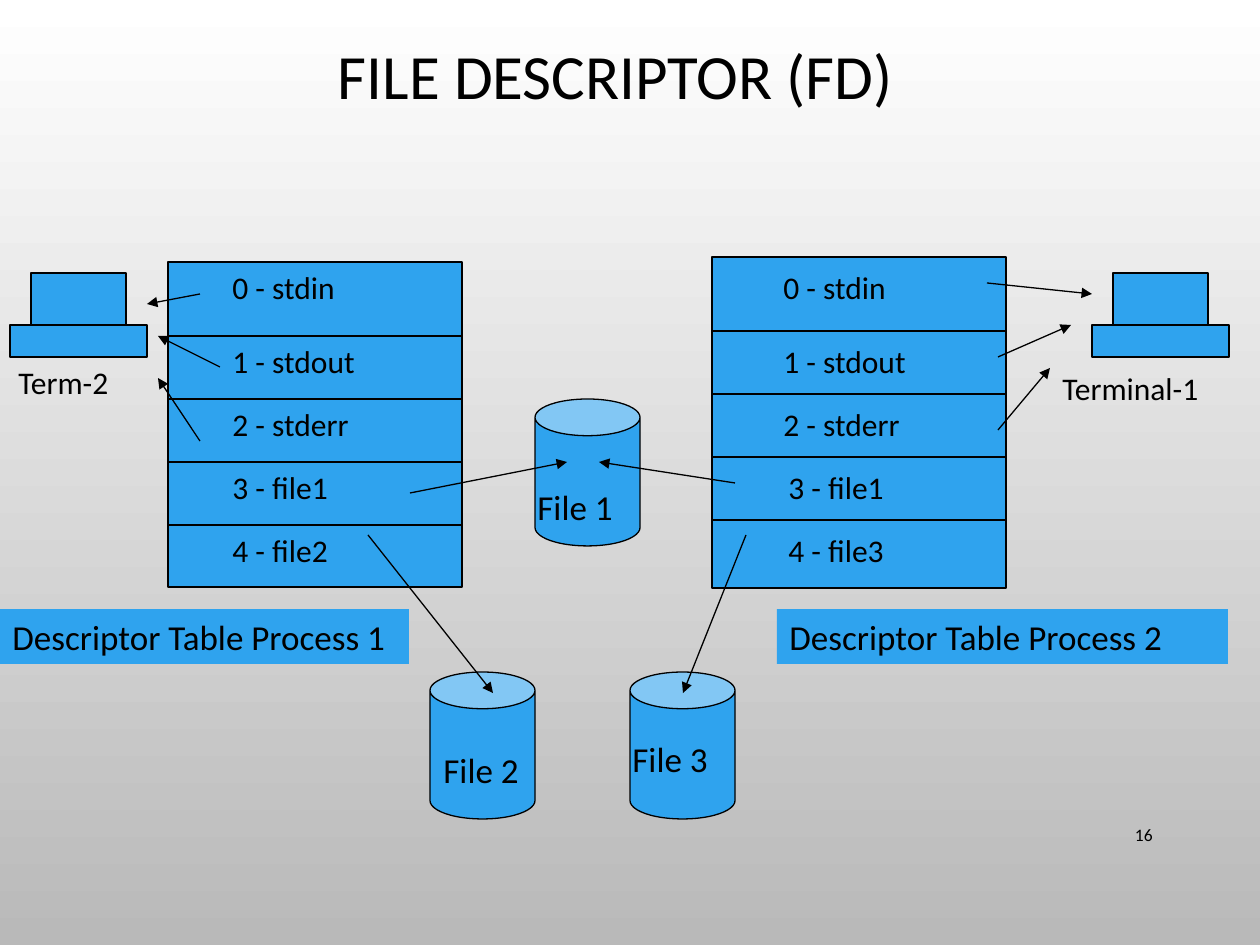
from dataclasses import dataclass

from lxml import etree
from pptx import Presentation
from pptx.dml.color import RGBColor
from pptx.enum.shapes import MSO_CONNECTOR, MSO_SHAPE
from pptx.enum.text import MSO_ANCHOR, MSO_AUTO_SIZE, PP_ALIGN
from pptx.oxml.ns import qn
from pptx.util import Emu, Pt

RECT, CAN = MSO_SHAPE.RECTANGLE, MSO_SHAPE.CAN
STRAIGHT = MSO_CONNECTOR.STRAIGHT
TOP, MIDDLE = MSO_ANCHOR.TOP, MSO_ANCHOR.MIDDLE
LEFT, CENTER, RIGHT = PP_ALIGN.LEFT, PP_ALIGN.CENTER, PP_ALIGN.RIGHT
PX = 914400 / 126


@dataclass(frozen=True)
class Theme:
    font: str = "Calibri"
    ink: RGBColor = RGBColor(0, 0, 0)
    fill: RGBColor = RGBColor(0x2F, 0xA3, 0xEE)
    sky: RGBColor = RGBColor(0xFF, 0xFF, 0xFF)
    ground: RGBColor = RGBColor(0xB9, 0xB9, 0xB9)
    line: float = 0.75
    title: int = 36
    label: int = 20
    row: int = 18
    number: int = 10


THEME = Theme()
FIRST_ROW, ROW = 74, 63
TABLE_W = 294
CAN_SIZE = (105, 147)

# box, offset of the row text, rows of (text, indent)
TABLES = [
    ((168, 262, TABLE_W, 325), 0,
     [("0 - stdin", 52), ("1 - stdout", 52), ("2 - stderr", 52),
      ("3 - file1", 52), ("4 - file2", 52)]),
    ((712, 257, TABLE_W, 331), 5,
     [("0 - stdin", 59), ("1 - stdout", 59), ("2 - stderr", 59),
      ("3 - file1", 64), ("4 - file3", 64)]),
]
CAPTIONS = [
    ("Descriptor Table Process 1", (0, 609, 409, 55)),
    ("Descriptor Table Process 2", (777, 609, 451, 55)),
]
# name, corner of the can, offset of the name
FILES = [
    ("File 1", (535, 399), (-10, 80)),
    ("File 2", (430, 672), (1, 70)),
    ("File 3", (630, 672), (-10, 59)),
]
# name, corner of the terminal, offset of the name
TERMINALS = [
    ("Term-2", (10, 273), (-4, 84)),
    ("Terminal-1", (1092, 273), (-42, 90)),
]
ARROWS = [
    (368, 535, 493, 693), (746, 535, 683, 693),
    (410, 493, 567, 462), (735, 483, 599, 462),
    (987, 283, 1092, 294), (998, 357, 1071, 325), (998, 430, 1050, 368),
    (200, 294, 147, 304), (220, 367, 158, 336), (200, 441, 158, 378),
]


def emu(*lengths):
    return [Emu(round(n * PX)) for n in lengths]


def write(s, text, size, align=LEFT, anchor=TOP):
    tf = s.text_frame
    frame_format = {"word_wrap": True, "auto_size": MSO_AUTO_SIZE.NONE,
                    "vertical_anchor": anchor}
    for name, value in frame_format.items():
        setattr(tf, name, value)
    p = tf.paragraphs[0]
    p.alignment = align
    r = p.add_run()
    r.text = text
    for name, value in {"name": THEME.font, "size": Pt(size)}.items():
        setattr(r.font, name, value)
    r.font.color.rgb = THEME.ink
    return p


def add_text(slide, box, text, size, **layout):
    write(slide.shapes.add_textbox(*emu(*box)), text, size, **layout)


def add_block(slide, kind, box, outlined=True):
    s = slide.shapes.add_shape(kind, *emu(*box))
    s.shadow.inherit = False
    s.fill.solid()
    s.fill.fore_color.rgb = THEME.fill
    if outlined:
        s.line.color.rgb = THEME.ink
        s.line.width = Pt(THEME.line)
    else:
        s.line.fill.background()
    return s


def add_line(slide, x1, y1, x2, y2, arrow=False):
    s = slide.shapes.add_connector(STRAIGHT, *emu(x1, y1, x2, y2))
    s.line.color.rgb = THEME.ink
    s.line.width = Pt(THEME.line)
    props = s.line._get_or_add_ln()
    if arrow:
        etree.SubElement(props, qn("a:tailEnd"), type="triangle")
    etree.SubElement(props.getparent(), qn("a:effectLst"))


def add_descriptor_table(slide, box, text_dy, rows):
    x, y, w, _ = box
    add_block(slide, RECT, box)
    for i, (text, indent) in enumerate(rows):
        dy = FIRST_ROW + (i - 1) * ROW if i else 0
        if i:
            add_line(slide, x, y + dy, x + w, y + dy)
        add_text(slide, (x + indent, y + dy + text_dy, 184, ROW), text, THEME.row)


def add_file(slide, name, corner, offset):
    x, y = corner
    s = add_block(slide, CAN, (x, y, *CAN_SIZE))
    s.adjustments[0] = 0.35
    add_text(slide, (x + offset[0], y + offset[1], 106, 54), name, THEME.label)


def add_terminal(slide, name, corner, offset):
    """Draw a screen on its base, with the name below."""
    x, y = corner
    add_block(slide, RECT, (x + 21, y, 95, 52))
    add_block(slide, RECT, (x, y + 52, 137, 32))
    add_text(slide, (x + offset[0], y + offset[1], 200, 63), name, THEME.row)


def add_title(slide, box, text):
    s = slide.shapes.title
    s.left, s.top, s.width, s.height = emu(*box)
    write(s, text, THEME.title, align=CENTER, anchor=MIDDLE).line_spacing = 0.9


def set_background(slide):
    fill = slide.background.fill
    fill.gradient()
    fill.gradient_angle = 270
    for stop, color in zip(fill.gradient_stops, (THEME.sky, THEME.ground)):
        stop.color.rgb = color


def main():
    prs = Presentation()
    prs.slide_width, prs.slide_height = emu(1260, 945)
    slide = prs.slides.add_slide(prs.slide_layouts[5])
    set_background(slide)
    add_title(slide, (0, 0, 1231, 158), "FILE DESCRIPTOR (FD)")
    add_text(slide, (1086, 810, 79, 50), "16", THEME.number,
             align=RIGHT, anchor=MIDDLE)
    for table in TABLES:
        add_descriptor_table(slide, *table)
    for text, box in CAPTIONS:
        write(add_block(slide, RECT, box, outlined=False), text, THEME.label)
    for file in FILES:
        add_file(slide, *file)
    for terminal in TERMINALS:
        add_terminal(slide, *terminal)
    for ends in ARROWS:
        add_line(slide, *ends, arrow=True)
    prs.save("out.pptx")


if __name__ == "__main__":
    main()
